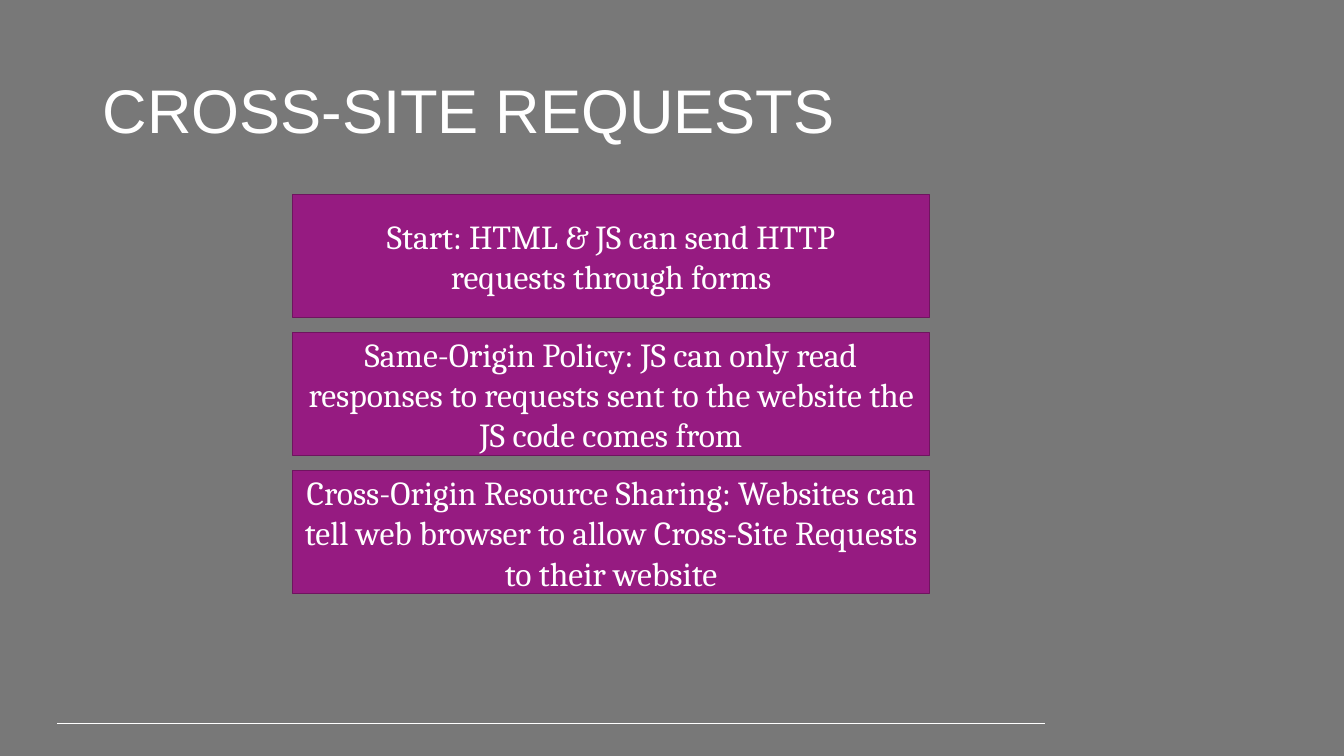
from lxml import etree
from pptx import Presentation
from pptx import util as u
from pptx.dml.color import RGBColor
from pptx.enum import shapes, text
from pptx.oxml import ns

STEPS = [
    ["Start: HTML & JS can send HTTP", "requests through forms"],
    ["Same-Origin Policy: JS can only read responses to requests sent "
     "to the website the JS code comes from"],
    ["Cross-Origin Resource Sharing: Websites can tell web browser to allow "
     "Cross-Site Requests to their website"],
]
STEP_TOP, STEP_PITCH = 1.93, 1.37


def color(value):
    return RGBColor.from_string(value)


class SlideBuilder:
    ground, ink, panel, border = "787878", "FFFFFF", "961B81", "6F145F"
    title_font, body_font = "Arial", "Cambria"

    def __init__(self, deck):
        self.slide = deck.slides.add_slide(deck.slide_layouts[6])
        fill = self.slide.background.fill
        fill.solid()
        fill.fore_color.rgb = color(self.ground)

    def add_text(self, shape, lines, font, size, align):
        """Fill a shape with one paragraph, broken between the given lines."""
        frame = shape.text_frame
        frame.word_wrap = True
        frame.vertical_anchor = text.MSO_ANCHOR.MIDDLE
        para = frame.paragraphs[0]
        para.alignment = align
        for index, line in enumerate(lines):
            if index:
                para.add_line_break()
            span = para.add_run()
            span.text = line
            span.font.name = font
            span.font.size = u.Pt(size)
            span.font.color.rgb = color(self.ink)
        return para

    def title(self, wording, left, top, width, height):
        box = self.slide.shapes.add_textbox(*map(u.Inches, (left, top, width, height)))
        para = self.add_text(box, [wording], self.title_font, 44, text.PP_ALIGN.LEFT)
        para.line_spacing = 0.9

    def step(self, lines, left, top, width, height):
        box = self.slide.shapes.add_shape(
            shapes.MSO_SHAPE.RECTANGLE, *map(u.Inches, (left, top, width, height)))
        box.shadow.inherit = False
        box.fill.solid()
        box.fill.fore_color.rgb = color(self.panel)
        box.line.color.rgb = color(self.border)
        box.line.width = u.Pt(1)
        self.add_text(box, lines, self.body_font, 24, text.PP_ALIGN.CENTER)

    def rule(self, left, right, y):
        line = self.slide.shapes.add_connector(
            shapes.MSO_CONNECTOR.STRAIGHT, *map(u.Inches, (left, y, right, y)))
        line.line.color.rgb = color(self.ink)
        line.line.width = u.Pt(0.75)
        etree.SubElement(line._element.spPr, ns.qn("a:effectLst"))


def main():
    deck = Presentation()
    deck.slide_width, deck.slide_height = u.Inches(13.33), u.Inches(7.5)
    page = SlideBuilder(deck)
    page.rule(0.57, 10.36, 7.18)
    page.title("CROSS-SITE REQUESTS", 0.92, 0.4, 11.5, 1.45)
    for index, lines in enumerate(STEPS):
        page.step(lines, 2.9, STEP_TOP + index * STEP_PITCH, 6.32, 1.22)
    deck.save("out.pptx")


if __name__ == "__main__":
    main()
